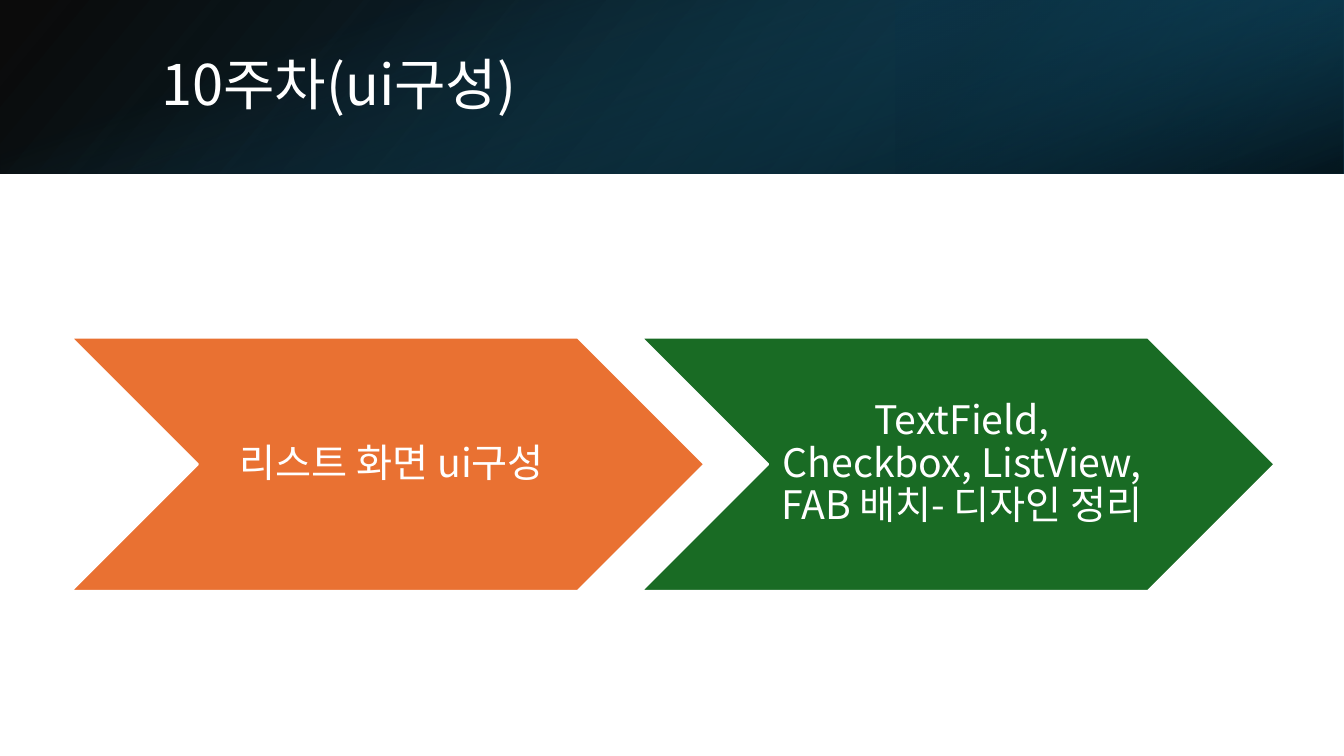
from lxml import etree
from pptx import Presentation
from pptx.dml.color import RGBColor
from pptx.enum.shapes import MSO_SHAPE
from pptx.enum.text import MSO_ANCHOR, MSO_AUTO_SIZE, PP_ALIGN
from pptx.oxml.ns import qn
from pptx.util import Cm, Pt

RECT, CHEVRON = MSO_SHAPE.RECTANGLE, MSO_SHAPE.CHEVRON
MIDDLE, NO_FIT = MSO_ANCHOR.MIDDLE, MSO_AUTO_SIZE.NONE
LEFT, CENTER = PP_ALIGN.LEFT, PP_ALIGN.CENTER

FONT = "Noto Sans CJK KR"
WIDE, HIGH, BAND = 33.87, 19.05, 4.37
COLORS = {
    "white": "FFFFFF",
    "black": "000000",
    "navy": "0B3041",
    "blue": "104862",
    "teal": "156082",
    "orange": "E97132",
    "green": "196B24",
}


def color(name):
    """Return the named colour."""
    return RGBColor.from_string(COLORS[name])


def add_shape(slide, kind, box):
    """Add a shape without shadow, with its box in centimetres."""
    shape = slide.shapes.add_shape(kind, *map(Cm, box))
    shape.shadow.inherit = False
    return shape


def add_band(slide, box, turn, flip, angle, stops):
    """Add a rectangle with a two-stop, partly clear gradient."""
    band = add_shape(slide, RECT, box)
    band.rotation = turn
    if flip:
        band._element.spPr.find(qn("a:xfrm")).set("flipH", "1")
    band.line.fill.background()
    band.fill.gradient()
    band.fill.gradient_angle = 360 - angle
    for stop, (place, name, _) in zip(band.fill.gradient_stops, stops):
        stop.position = place / 100
        stop.color.rgb = color(name)
    tints = band._element.spPr.iter(qn("a:srgbClr"))
    for tint, (_, _, alpha) in zip(list(tints), stops):
        etree.SubElement(tint, qn("a:alpha")).set("val", str(alpha * 1000))


def set_text(shape, text, size, align):
    """Write one white paragraph, centred in height."""
    frame = shape.text_frame
    frame.text = text
    frame.word_wrap = True
    frame.auto_size = NO_FIT
    frame.vertical_anchor = MIDDLE
    para = frame.paragraphs[0]
    para.alignment = align
    para.line_spacing = 0.9
    font = para.font
    font.size = Pt(size)
    font.color.rgb = color("white")
    font.name = FONT
    props = para._p.pPr.find(qn("a:defRPr"))
    etree.SubElement(props, qn("a:ea")).set("typeface", FONT)


def add_title(slide, text):
    """Place the title over the bands."""
    title = slide.shapes.title
    title.left, title.top = Cm(3.81), Cm(0.97)
    title.width, title.height = Cm(27.89), Cm(2.44)
    set_text(title, text, 40, LEFT)
    slide.shapes._spTree.append(title._element)


def add_step(slide, index, text, fill):
    """Add one chevron of the row."""
    step = add_shape(slide, CHEVRON, (1.8 + 14.37 * index, 8.51, 15.95, 6.38))
    step.fill.solid()
    step.fill.fore_color.rgb = color(fill)
    step.line.color.rgb = color("white")
    step.line.width = Pt(1.5)
    set_text(step, text, 28, CENTER)
    frame = step.text_frame
    frame.margin_left = Cm(0.3)
    frame.margin_right = frame.margin_top = frame.margin_bottom = Cm(0.1)


def main():
    """Build and save the slide."""
    deck = Presentation()
    deck.slide_width, deck.slide_height = Cm(WIDE), Cm(HIGH)
    slide = deck.slides.add_slide(deck.slide_layouts[5])
    third = WIDE / 3
    side = (WIDE - BAND) / 2
    bands = [
        ((0, 0, WIDE, BAND), 0, True, 140,
         [(0, "black", 96), (100, "blue", 100)]),
        ((WIDE - third, 0, third, BAND), 180, True, 320,
         [(19, "navy", 68), (100, "teal", 79)]),
        ((side, -side, BAND, WIDE), 90, False, 340,
         [(23, "teal", 0), (99, "black", 74)]),
    ]
    for band in bands:
        add_band(slide, *band)
    add_title(slide, "10주차(ui구성)")
    steps = [
        ("리스트 화면 ui구성", "orange"),
        ("TextField, Checkbox, ListView, FAB 배치- 디자인 정리", "green"),
    ]
    for index, (text, fill) in enumerate(steps):
        add_step(slide, index, text, fill)
    deck.save("out.pptx")


if __name__ == "__main__":
    main()
